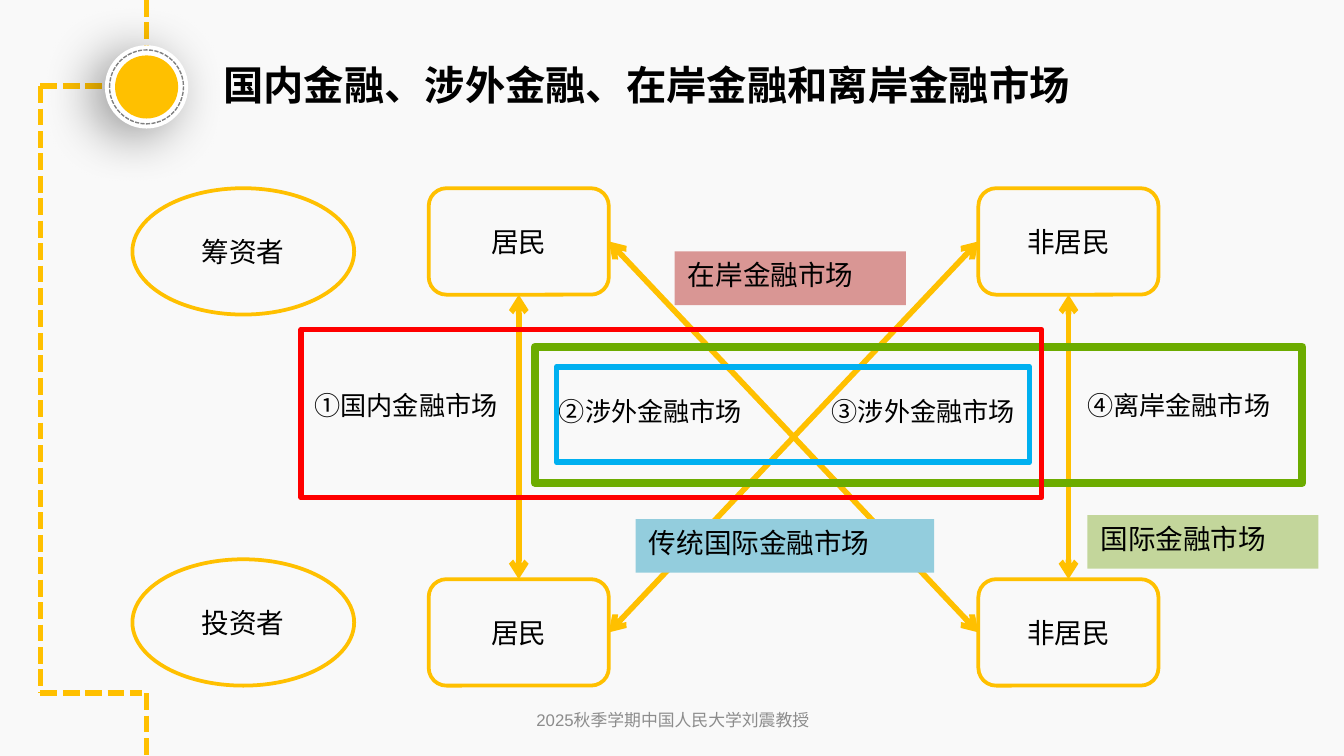
import dataclasses

import pptx
import pptx.dml.color
import pptx.enum.dml
import pptx.enum.shapes
import pptx.enum.text
import pptx.oxml
import pptx.oxml.ns
import pptx.util

RGBColor = pptx.dml.color.RGBColor
BACKGROUND = RGBColor(0xF9, 0xF9, 0xF9)
AMBER = RGBColor(0xFF, 0xC0, 0x00)
WHITE = RGBColor(0xFF, 0xFF, 0xFF)
BLACK = RGBColor(0x00, 0x00, 0x00)
GRAY = RGBColor(0x80, 0x80, 0x80)
FOOTER_GRAY = RGBColor(0x8C, 0x8C, 0x8C)
BLUE = RGBColor(0x00, 0xB0, 0xF0)
GREEN = RGBColor(0x6C, 0xAC, 0x00)
RED = RGBColor(0xFF, 0x00, 0x00)
PALE_BLUE = RGBColor(0x93, 0xCD, 0xDD)
PALE_GREEN = RGBColor(0xC3, 0xD6, 0x9B)
PALE_RED = RGBColor(0xD9, 0x96, 0x94)

SHAPES = pptx.enum.shapes.MSO_SHAPE
STRAIGHT = pptx.enum.shapes.MSO_CONNECTOR.STRAIGHT
DASH = pptx.enum.dml.MSO_LINE.SQUARE_DOT
ANCHOR = pptx.enum.text.MSO_ANCHOR
ALIGN = pptx.enum.text.PP_ALIGN
TOP, LEFT, BOTTOM, RIGHT = range(4)
DRAWING = pptx.oxml.ns.nsdecls("a")
SHADOW = f"""<a:effectLst {DRAWING}>
<a:outerShdw blurRad="355600" dist="101600" dir="9000000" algn="ctr" rotWithShape="0">
<a:srgbClr val="000000"><a:alpha val="40000"/></a:srgbClr></a:outerShdw></a:effectLst>"""


@dataclasses.dataclass
class Box:
    """A rectangle whose inner boxes are given in percent of its sides."""

    left: int
    top: int
    width: int
    height: int

    def point(self, x, y):
        """Return the position at the given percentages."""
        return int(self.left + self.width * x / 100), int(self.top + self.height * y / 100)

    def area(self, x, y, width, height):
        """Return the inner box at the given percentages."""
        return Box(*self.point(x, y), int(self.width * width / 100), int(self.height * height / 100))

    def frame(self):
        """Return left, top, width and height."""
        return self.left, self.top, self.width, self.height


def write(shape, text, size, color=BLACK, font="Arial", align=ALIGN.LEFT, anchor=ANCHOR.TOP, bold=False):
    """Put one formatted line of text into a shape."""
    frame = shape.text_frame
    frame.text = text
    frame.word_wrap = True
    frame.vertical_anchor = anchor
    paragraph = frame.paragraphs[0]
    paragraph.alignment = align
    style = paragraph.runs[0].font
    style.name, style.size, style.bold = font, pptx.util.Pt(size), bold
    style.color.rgb = color


def add_shape(shapes, kind, box, fill=None, line=None, width=0):
    """Add a flat preset shape with an optional fill and outline."""
    shape = shapes.add_shape(kind, *box.frame())
    shape.shadow.inherit = False
    for target, color in ((shape.fill, fill), (shape.line.fill, line)):
        if color is None:
            target.background()
        else:
            target.solid()
            target.fore_color.rgb = color
    if line is not None:
        shape.line.width = pptx.util.Pt(width)
    return shape


def add_line(shapes, start=(0, 0), end=(0, 0)):
    """Add a flat amber connector."""
    connector = shapes.add_connector(STRAIGHT, *start, *end)
    connector.line.color.rgb = AMBER
    connector.line.width = pptx.util.Pt(3)
    connector._element.spPr.append(pptx.oxml.parse_xml(f"<a:effectLst {DRAWING}/>"))
    return connector


def add_double_arrow(shapes, first, first_side, second, second_side):
    """Join two shapes with an arrow that points both ways."""
    connector = add_line(shapes)
    connector.begin_connect(first, first_side)
    connector.end_connect(second, second_side)
    outline = connector._element.spPr.find(pptx.oxml.ns.qn("a:ln"))
    for end in ("headEnd", "tailEnd"):
        outline.append(pptx.oxml.parse_xml(f'<a:{end} {DRAWING} type="arrow"/>'))


def draw_rail(slide, box):
    """Draw the dashed rail and its round knob at the left edge."""
    outer, inner, upper, lower = 20, 72.7, 11.4, 91.7
    for start, end in (
        ((outer, upper), (75.3, upper)),
        ((inner, 0), (inner, 11)),
        ((outer, upper), (outer, lower)),
        ((outer, lower), (70.7, lower)),
        ((inner, lower), (inner, 100)),
    ):
        add_line(slide.shapes, box.point(*start), box.point(*end)).line.dash_style = DASH
    knob = slide.shapes.add_group_shape()
    x, y = box.point(inner, 11.5)
    circles = []
    for share, fill, line in ((41.3, WHITE, None), (31.3, AMBER, None), (36.7, None, GRAY)):
        size = int(box.width * share / 100)
        circle = Box(x - size // 2, y - size // 2, size, size)
        circles.append(add_shape(knob.shapes, SHAPES.OVAL, circle, fill, line, 0.75))
    disc, _, ring = circles
    ring.line.dash_style = DASH
    properties = disc._element.spPr
    properties.remove(properties.find(pptx.oxml.ns.qn("a:effectLst")))
    properties.append(pptx.oxml.parse_xml(SHADOW))


def draw_title(slide, box):
    """Place and format the title placeholder."""
    title = slide.shapes.title
    title.left, title.top, title.width, title.height = box.frame()
    write(title, "国内金融、涉外金融、在岸金融和离岸金融市场", 21.6, anchor=ANCHOR.MIDDLE, bold=True)


def draw_parties(shapes, box):
    """Draw fundraisers above investors and the arrows between them."""
    nodes = {}
    columns = (
        (SHAPES.OVAL, 9.85, 16.5, 25.4, ("筹资者", "投资者")),
        (SHAPES.ROUNDED_RECTANGLE, 31.9, 13.4, 21.4, ("居民", "居民")),
        (SHAPES.ROUNDED_RECTANGLE, 72.8, 13.4, 21.4, ("非居民", "非居民")),
    )
    for column, (kind, x, width, height, names) in enumerate(columns):
        for row, name in enumerate(names):
            place = box.area(x, row * (100 - height), width, height)
            node = add_shape(shapes, kind, place, line=AMBER, width=2)
            write(node, name, 14.8, align=ALIGN.CENTER, anchor=ANCHOR.MIDDLE)
            nodes[column, row] = node
    add_double_arrow(shapes, nodes[1, 0], RIGHT, nodes[2, 1], LEFT)
    add_double_arrow(shapes, nodes[2, 0], LEFT, nodes[1, 1], RIGHT)
    for column in (1, 2):
        add_double_arrow(shapes, nodes[column, 0], BOTTOM, nodes[column, 1], TOP)


def draw_markets(shapes, box):
    """Draw the numbered markets and the frames that group them."""
    for x, y, text in (
        (22.4, 39.2, "①国内金融市场"),
        (40.6, 40.3, "②涉外金融市场"),
        (60.9, 40.3, "③涉外金融市场"),
        (79.9, 39.2, "④离岸金融市场"),
    ):
        label = shapes.add_textbox(*box.area(x, y, 15.8, 9.2).frame())
        write(label, text, 14, font="DejaVu Sans")
        label.text_frame.word_wrap = False
    for frame, line, width, tag, fill, text in (
        ((41.4, 35.9, 35.2, 19.2), BLUE, 3, (47.3, 66.5, 22.2), PALE_BLUE, "传统国际金融市场"),
        ((39.8, 31.9, 57.1, 27.3), GREEN, 4.5, (80.9, 65.7, 17.2), PALE_GREEN, "国际金融市场"),
        ((22.4, 28.4, 55.1, 33.8), RED, 3, (50.2, 12.7, 17.2), PALE_RED, "在岸金融市场"),
    ):
        add_shape(shapes, SHAPES.RECTANGLE, box.area(*frame), line=line, width=width)
        write(add_shape(shapes, SHAPES.RECTANGLE, box.area(*tag, 10.8), fill=fill), text, 14.8)


def draw_footer(slide, box):
    """Write the course line at the bottom."""
    footer = slide.shapes.add_textbox(*box.frame())
    write(footer, "2025秋季学期中国人民大学刘震教授", 9, FOOTER_GRAY, align=ALIGN.CENTER, anchor=ANCHOR.MIDDLE)


def main():
    """Build the slide and save it."""
    presentation = pptx.Presentation()
    presentation.slide_width = pptx.util.Inches(10)
    presentation.slide_height = presentation.slide_width * 9 // 16
    slide = presentation.slides.add_slide(presentation.slide_layouts[5])
    slide.background.fill.solid()
    slide.background.fill.fore_color.rgb = BACKGROUND
    page = Box(0, 0, presentation.slide_width, presentation.slide_height)
    diagram = page.area(0, 24.9, 100, 65.8)
    draw_rail(slide, page.area(0, 0, 15, 100))
    draw_title(slide, page.area(15.6, 6.2, 69.5, 10))
    draw_parties(slide.shapes, diagram)
    draw_markets(slide.shapes, diagram)
    draw_footer(slide, page.area(34.2, 92.6, 31.7, 5.3))
    presentation.save("out.pptx")


if __name__ == "__main__":
    main()
